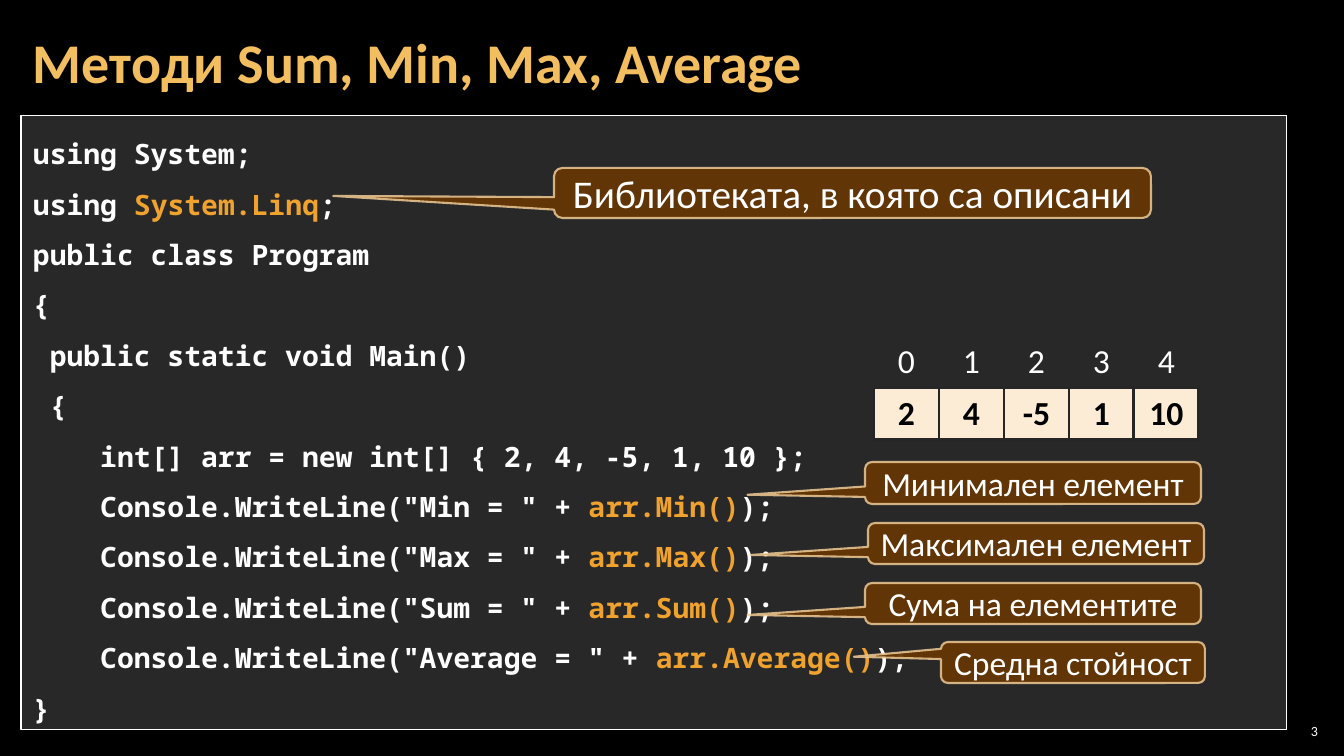
from dataclasses import dataclass

from lxml.etree import SubElement
from pptx import Presentation
from pptx.dml.color import RGBColor as RGB
from pptx.enum.shapes import MSO_SHAPE as SHAPE
from pptx.enum.text import MSO_ANCHOR as ANCHOR, PP_ALIGN as ALIGN
from pptx.oxml.ns import qn
from pptx.util import Emu, Pt

PX = 914400 / 100.8  # EMU in one px


@dataclass(frozen=True)
class Theme:
    sans: str = "Calibri"
    mono: str = "Noto Sans Mono"
    back: str = "000000"
    text: str = "FFFFFF"
    title: str = "F3BE60"
    accent: str = "F0A22E"
    panel: str = "404040"
    callout: str = "663606"
    callout_line: str = "F8D49E"
    cell: str = "FCECD5"
    cell_text: str = "000000"
    border: str = "262626"
    title_pt: int = 40
    code_pt: int = 20
    note_pt: int = 28
    label_pt: int = 24
    number_pt: int = 10


T = Theme()

# Highlighted code stands between bars
CODE = """using System;
using |System.Linq|;
public class Program
{
 public static void Main()
 {
    int[] arr = new int[] { 2, 4, -5, 1, 10 };
    Console.WriteLine("Min = " + |arr.Min()|);
    Console.WriteLine("Max = " + |arr.Max()|);
    Console.WriteLine("Sum = " + |arr.Sum()|);
    Console.WriteLine("Average = " + |arr.Average()|);
}"""

VALUES = [2, 4, -5, 1, 10]

# Text, box in px, pointer tip relative to the box, type size
CALLOUTS = [
    ("Библиотеката, в която са описани", (554, 168, 597, 50), (-0.87, 0.06), T.note_pt),
    ("Минимален елемент", (865, 462, 336, 42), (-0.85, 0.28), T.label_pt),
    ("Максимален елемент", (868, 523, 336, 41), (-0.85, 0.28), T.label_pt),
    ("Сума на елементите", (865, 583, 336, 41), (-0.85, 0.28), T.label_pt),
    ("Средна стойност", (941, 642, 264, 41), (-0.83, -0.14), T.label_pt),
]


def px(*lengths):
    return [Emu(round(n * PX)) for n in lengths]


def rgb(color):
    return RGB.from_string(color)


def style(p, size, color=T.text, name=T.sans, bold=False, align=ALIGN.LEFT):
    p.alignment = align
    p.font.name, p.font.size, p.font.bold = name, Pt(size), bold
    p.font.color.rgb = rgb(color)


def set_frame(tf, side, edge, anchor, wrap=True):
    tf.margin_left, tf.margin_right, tf.margin_top, tf.margin_bottom = px(
        side, side, edge, edge)
    tf.vertical_anchor, tf.word_wrap = anchor, wrap


def paint(s, fill, fill_alpha, line, line_alpha, width):
    s.shadow.inherit = False
    s.fill.solid()
    s.fill.fore_color.rgb = rgb(fill)
    s.line.color.rgb = rgb(line)
    s.line.width = Pt(width)
    colors = s.element.spPr.iter(qn("a:srgbClr"))
    for color, alpha in zip(list(colors), (fill_alpha, line_alpha)):
        SubElement(color, qn("a:alpha"), val=str(alpha * 1000))


def add_title(slide, text):
    s = slide.shapes.title
    s.left, s.top, s.width, s.height = px(21, 4, 1301, 122)
    set_frame(s.text_frame, 12, 4, ANCHOR.MIDDLE)
    p = s.text_frame.paragraphs[0]
    p.text, p.line_spacing = text, 0.9
    style(p, T.title_pt, T.title, bold=True)


def add_code(slide, code):
    s = slide.shapes.add_shape(SHAPE.RECTANGLE, *px(21, 116, 1266, 614))
    paint(s, T.panel, 64, T.text, 100, 0.75)
    tf = s.text_frame
    set_frame(tf, 12, 4, ANCHOR.TOP)
    for i, line in enumerate(code.split("\n")):
        p = tf.add_paragraph() if i else tf.paragraphs[0]
        p.line_spacing = 1.5
        style(p, T.code_pt, name=T.mono, bold=True)
        for j, part in enumerate(line.split("|")):
            r = p.add_run()
            r.text = part
            if j % 2:
                r.font.color.rgb = rgb(T.accent)


def add_callout(slide, text, box, tip, size):
    s = slide.shapes.add_shape(SHAPE.ROUNDED_RECTANGULAR_CALLOUT, *px(*box))
    s.adjustments[0], s.adjustments[1] = tip
    paint(s, T.callout, 95, T.callout_line, 80, 1.5)
    set_frame(s.text_frame, 10, 5, ANCHOR.MIDDLE, wrap=False)
    p = s.text_frame.paragraphs[0]
    p.text = text
    style(p, size, align=ALIGN.CENTER)


def add_borders(cell, drawn):
    props = cell._tc.get_or_add_tcPr()
    for i, side in enumerate("LRTB"):
        ln = SubElement(props, qn(f"a:ln{side}"), w=str(Pt(2.25)))
        if side in drawn:
            fill = SubElement(ln, qn("a:solidFill"))
            SubElement(fill, qn("a:srgbClr"), val=T.border)
        else:
            SubElement(ln, qn("a:noFill"))
        props.insert(i, ln)  # borders come before the fill


def add_array(slide, values):
    frame = slide.shapes.add_table(2, len(values), *px(874, 337, 65 * len(values), 100))
    table = frame.table
    table.first_row = table.horz_banding = False
    for row in table.rows:
        row.height = px(50)[0]
    for i, value in enumerate(values):
        table.columns[i].width = px(65)[0]
        index, item = table.cell(0, i), table.cell(1, i)
        index.fill.background()
        item.fill.solid()
        item.fill.fore_color.rgb = rgb(T.cell)
        add_borders(index, "B")
        add_borders(item, "LRTB")
        index.text, item.text = str(i), str(value)
        style(index.text_frame.paragraphs[0], T.label_pt, align=ALIGN.CENTER)
        style(item.text_frame.paragraphs[0], T.label_pt, T.cell_text,
              bold=True, align=ALIGN.CENTER)


def add_number(slide, number):
    tf = slide.shapes.add_textbox(*px(1275, 720, 47, 21)).text_frame
    set_frame(tf, 4, 4, ANCHOR.MIDDLE)
    p = tf.paragraphs[0]
    p.text = number
    style(p, T.number_pt, align=ALIGN.RIGHT)


def main():
    prs = Presentation()
    prs.slide_width, prs.slide_height = px(1344, 756)
    slide = prs.slides.add_slide(prs.slide_layouts[5])
    slide.background.fill.solid()
    slide.background.fill.fore_color.rgb = rgb(T.back)

    # Title, code and array
    add_title(slide, "Методи Sum, Min, Max, Average")
    add_code(slide, CODE)
    add_array(slide, VALUES)

    # Explanations of the code
    for callout in CALLOUTS:
        add_callout(slide, *callout)

    add_number(slide, "3")
    prs.save("out.pptx")


if __name__ == "__main__":
    main()
